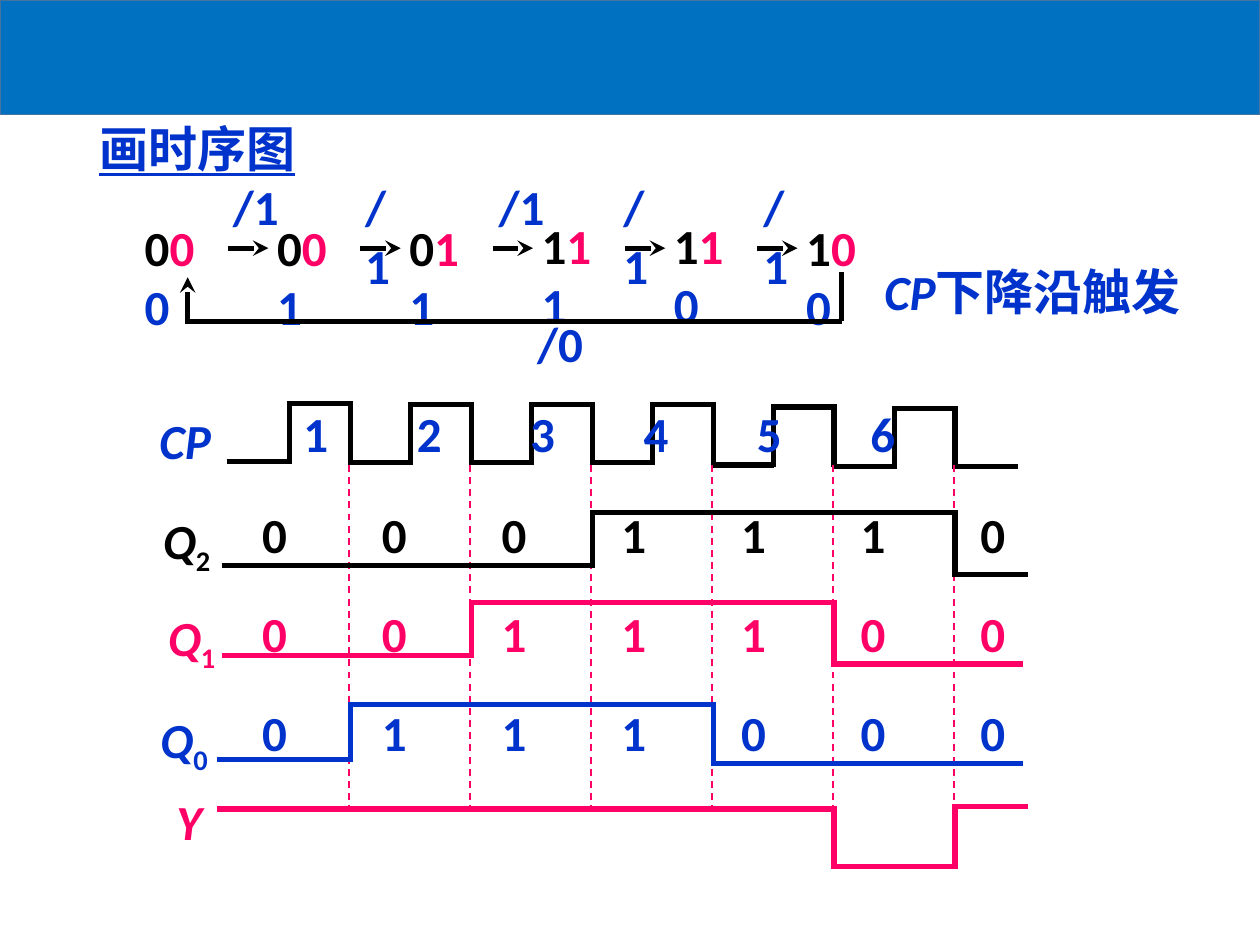
from lxml import etree
from pptx import Presentation
from pptx.dml.color import RGBColor
from pptx.enum.dml import MSO_LINE
from pptx.enum.shapes import MSO_CONNECTOR, MSO_SHAPE
from pptx.enum.text import MSO_ANCHOR, MSO_AUTO_SIZE, PP_ALIGN
from pptx.oxml.ns import qn
from pptx.util import Inches, Pt

STRAIGHT = MSO_CONNECTOR.STRAIGHT
RECTANGLE = MSO_SHAPE.RECTANGLE
LEFT, CENTER = PP_ALIGN.LEFT, PP_ALIGN.CENTER
COLORS = {"black": "000000", "pink": "FF0066", "blue": "0033CC",
          "bar": "0070C0", "bar_line": "43739E"}
BIT_COLORS = ("black", "pink", "blue")
FONT, SIZE = "Calibri", Pt(28)
TEXT_HEIGHT = 0.57

# Grid: clock periods for the waveforms, steps for the state sequence
PERIOD, FIRST_FALL = 0.96, 2.78
STATE_STEP, FIRST_STATE = 1.05, 1.05
falls = [FIRST_FALL + PERIOD * k for k in range(6)]

presentation = Presentation()
presentation.slide_width, presentation.slide_height = Inches(10), Inches(7.5)
slide = presentation.slides.add_slide(presentation.slide_layouts[5])


def draw_line(x1, y1, x2, y2, color, width=3, dashed=False, arrow=False):
    line = slide.shapes.add_connector(STRAIGHT, Inches(x1), Inches(y1), Inches(x2), Inches(y2))
    line.line.color.rgb = RGBColor.from_string(COLORS[color])
    line.line.width = Pt(width)
    if dashed:
        line.line.dash_style = MSO_LINE.DASH
    if arrow:
        etree.SubElement(line.line._get_or_add_ln(), qn("a:tailEnd"), type="stealth")
    etree.SubElement(line._element.spPr, qn("a:effectLst"))


def add_text(left, top, width, parts, align=LEFT, shape=None):
    """Each part is (text, color, style); style may hold i (italic), s (subscript), u (underline)."""
    shape = shape or slide.shapes.add_textbox(0, 0, 0, 0)
    shape.left, shape.top = Inches(left), Inches(top)
    shape.width, shape.height = Inches(width), Inches(TEXT_HEIGHT)
    frame = shape.text_frame
    frame.word_wrap = True
    frame.auto_size = MSO_AUTO_SIZE.NONE
    frame.vertical_anchor = MSO_ANCHOR.TOP
    paragraph = frame.paragraphs[0]
    paragraph.alignment = align
    for text, color, style in parts:
        run = paragraph.add_run()
        run.text = text
        run.font.name, run.font.size, run.font.bold = FONT, SIZE, True
        run.font.italic = "i" in style
        run.font.underline = "u" in style
        run.font.color.rgb = RGBColor.from_string(COLORS[color])
        if "s" in style:
            run.font._element.set("baseline", "-25000")
    return paragraph


# Header bar and title
bar = slide.shapes.add_shape(RECTANGLE, 0, 0, presentation.slide_width, Inches(0.91))
bar.shadow.inherit = False
bar.fill.solid()
bar.fill.fore_color.rgb = RGBColor.from_string(COLORS["bar"])
bar.line.color.rgb = RGBColor.from_string(COLORS["bar_line"])
bar.line.width = Pt(1)
add_text(0.57, 0.89, 1.99, [("画时序图", "blue", "u")], CENTER, slide.shapes.title)

# State sequence with its outputs
states = ["000", "001", "011", "111", "110", "100"]
state_tops = [1.68, 1.68, 1.68, 1.66, 1.66, 1.68]
for k, (state, top) in enumerate(zip(states, state_tops)):
    bits = [(bit, color, "") for bit, color in zip(state, BIT_COLORS)]
    add_text(FIRST_STATE + STATE_STEP * k, top, 0.78, bits)
outputs = [(1.75, 0.57), (2.8, 0.5), (3.86, 0.61), (4.85, 0.5), (5.96, 0.5)]
for k, (left, width) in enumerate(outputs):
    arrow_left = 1.81 + STATE_STEP * k
    draw_line(arrow_left, 1.97, arrow_left + 0.32, 1.97, "black", arrow=True)
    add_text(left, 1.35, width, [("/1", "blue", "")])

# Return path to the first state
draw_line(6.68, 2.16, 6.68, 2.55, "black")
draw_line(6.68, 2.55, 1.49, 2.55, "black")
draw_line(1.49, 2.57, 1.49, 2.2, "black", arrow=True)
add_text(4.07, 2.44, 0.75, [("/0", "blue", "")], CENTER)
add_text(6.92, 2.03, 3.03, [("CP", "blue", "i"), ("下降沿触发", "blue", "")])

# Clock wave
add_text(1.12, 3.21, 0.7, [("CP", "blue", "i")], CENTER)
clock_lows = [3.66, 3.67, 3.67, 3.67, 3.69, 3.7]
for fall, low in zip(falls, clock_lows):
    rise, high = fall - PERIOD / 2, low - 0.46
    draw_line(rise - 0.5, low, rise, low, "black")
    draw_line(rise - 0.02, high, fall, high, "black")
    for edge in (rise, fall):
        draw_line(edge, low + 0.02, edge, high - 0.02, "black")
draw_line(falls[-1], 3.7, falls[-1] + 0.5, 3.7, "black")

# Clock numbers on evenly spaced tab stops
numbers = add_text(2.31, 3.15, 5.26, [])
tabs = etree.SubElement(numbers._p.get_or_add_pPr(), qn("a:tabLst"))
for k in range(1, 6):
    etree.SubElement(tabs, qn("a:tab"), pos=str(Inches(0.9 * k)), algn="l")
numbers.text = "\t".join("123456")
numbers.font.name, numbers.font.size, numbers.font.bold = FONT, SIZE, True
numbers.font.color.rgb = RGBColor.from_string(COLORS["blue"])

# Dashed guides at the falling edges
for fall in falls:
    draw_line(fall - 0.01, 3.69, fall - 0.01, 6.4, "pink", width=1, dashed=True)

# Signals: label, label place, color, start, two edge numbers, end, three levels
signals = [
    ("Q2", 1.14, 4.0, "black", 1.76, (2, 5), 8.16, (4.49, 4.07, 4.56)),
    ("Q1", 1.18, 4.77, "pink", 1.76, (1, 4), 8.12, (5.2, 4.78, 5.27)),
    ("Q0", 1.12, 5.58, "blue", 1.72, (0, 3), 8.12, (6.03, 5.59, 6.06)),
    ("Y", 1.16, 6.23, "pink", 1.72, (4, 5), 8.16, (6.42, 6.88, 6.4)),
]
for label, left, top, color, start, edges, end, levels in signals:
    parts = [(label[0], color, "i")] + [(digit, color, "s") for digit in label[1:]]
    add_text(left, top, 0.68, parts, CENTER)
    stops = [start, *(falls[edge] for edge in edges), end]
    for k, level in enumerate(levels):
        draw_line(stops[k], level, stops[k + 1], level, color)
    for x, before, after in zip(stops[1:3], levels, levels[1:]):
        draw_line(x, min(before, after) - 0.02, x, max(before, after) + 0.02, color)

# Signal values, one column per clock period
for k, state in enumerate(states + ["000"]):
    box = slide.shapes.add_textbox(Inches(1.98 + 0.95 * k), Inches(4.03), Inches(0.4), Inches(2.09))
    frame = box.text_frame
    frame.word_wrap = True
    frame.text = "\n".join(state)
    for row, (paragraph, color) in enumerate(zip(frame.paragraphs, BIT_COLORS)):
        paragraph.alignment = CENTER
        paragraph.line_spacing = 0.85
        if row:
            paragraph.space_before = Pt(28)
        font = paragraph.runs[0].font
        font.name, font.size, font.bold = FONT, SIZE, True
        font.color.rgb = RGBColor.from_string(COLORS[color])

presentation.save("out.pptx")
